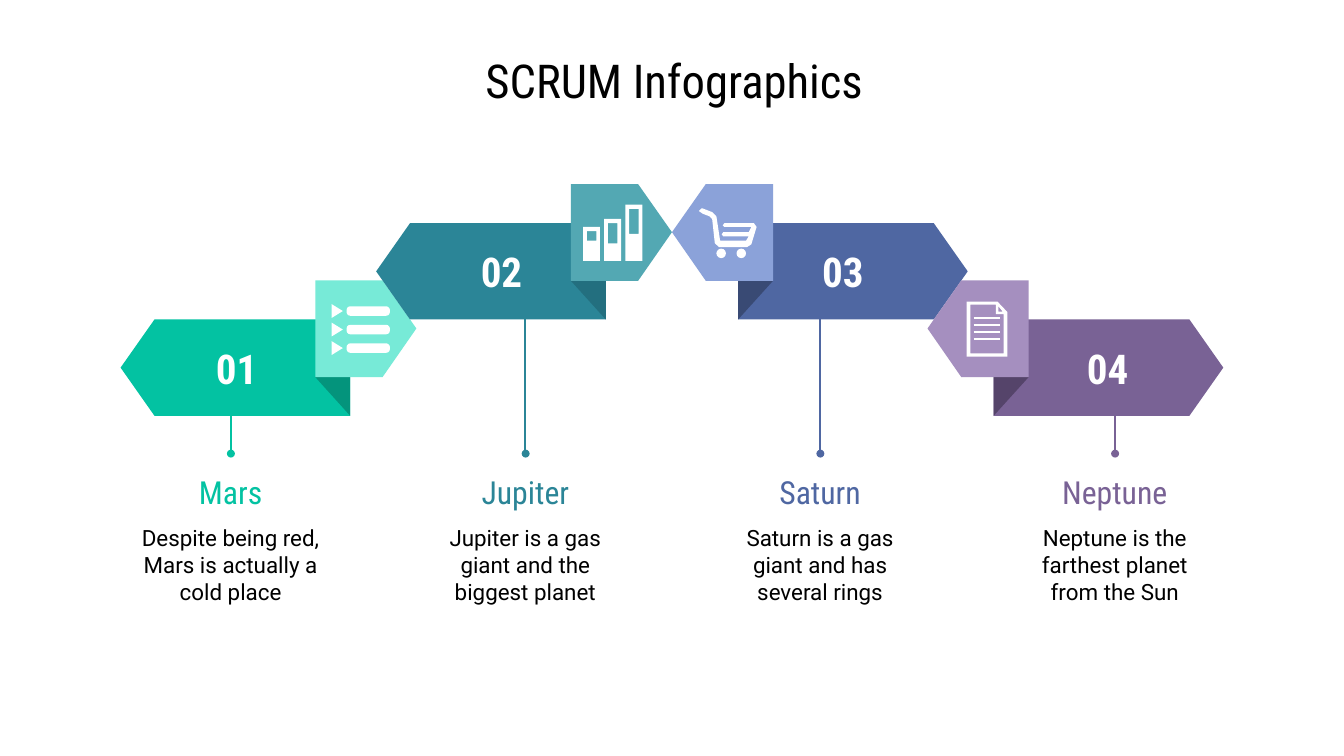
from lxml.etree import SubElement
from pptx import Presentation
from pptx.dml.color import RGBColor
from pptx.enum.shapes import MSO_CONNECTOR, MSO_SHAPE
from pptx.enum.text import MSO_ANCHOR, PP_ALIGN
from pptx.oxml.ns import qn
from pptx.util import Cm, Pt

WHITE = RGBColor(0xFF, 0xFF, 0xFF)
BLACK = RGBColor(0, 0, 0)
MINT = RGBColor(0x03, 0xC2, 0xA2)
MINT_DARK = RGBColor(0x04, 0x94, 0x7C)
MINT_PALE = RGBColor(0x77, 0xEA, 0xD7)
TEAL = RGBColor(0x2B, 0x85, 0x97)
TEAL_DARK = RGBColor(0x23, 0x6F, 0x7F)
TEAL_PALE = RGBColor(0x53, 0xA8, 0xB3)
BLUE = RGBColor(0x4F, 0x67, 0xA2)
BLUE_DARK = RGBColor(0x39, 0x4A, 0x74)
BLUE_PALE = RGBColor(0x8B, 0xA2, 0xD9)
PLUM = RGBColor(0x79, 0x62, 0x95)
PLUM_DARK = RGBColor(0x55, 0x44, 0x6A)
PLUM_PALE = RGBColor(0xA5, 0x8F, 0xBF)

TITLE = {"name": "Roboto Condensed", "size": Pt(25)}
HEAD = {"name": "Roboto Condensed", "size": Pt(17)}
BODY = {"name": "Roboto", "size": Pt(12)}
NUMBER = {"name": "Roboto Condensed", "size": Pt(22), "bold": True}
FRAME = {
    "word_wrap": True, "vertical_anchor": MSO_ANCHOR.MIDDLE,
    "margin_left": Cm(0.25), "margin_right": Cm(0.25),
    "margin_top": Cm(0.25), "margin_bottom": Cm(0.25),
}

MID = 12.7                      # mirror axis of the arch
STEP_X, STEP_Y = 4.83, 1.82     # from inner to outer banner
FIRST, PITCH = 4.36, 5.57       # centres of the text columns

# Points of an inner banner: distance from the axis, height on the slide
BANNER = [(1.25, 4.22), (4.95, 4.22), (5.59, 5.13), (4.95, 6.04), (1.25, 6.04)]
FOLD = [(1.14, 4.48), (1.25, 5.13), (1.25, 6.04), (1.91, 5.31)]
BADGE = [(0.64, 3.48), (0, 4.39), (0.64, 5.31), (1.91, 5.31), (1.91, 3.48)]

CART = [
    (13.26, 3.94), (13.21, 3.99), (13.28, 4.04), (13.41, 4.09), (13.46, 4.14),
    (13.51, 4.6), (13.59, 4.67), (14.12, 4.67), (14.2, 4.62), (14.3, 4.29),
    (14.25, 4.22), (13.69, 4.22), (13.66, 4.26), (13.69, 4.29), (14.2, 4.29),
    (14.15, 4.39), (13.67, 4.39), (13.64, 4.43), (13.67, 4.47), (14.15, 4.47),
    (14.1, 4.55), (13.61, 4.55), (13.56, 4.22), (13.54, 4.09), (13.46, 4.01),
    (13.28, 3.94),
]
PAGE = [(18.27, 5.7), (18.85, 5.7), (19.04, 5.9), (19.04, 6.74), (18.27, 6.74)]
SHEET = [(18.34, 5.76), (18.82, 5.76), (18.82, 5.94), (18.97, 5.94),
         (18.97, 6.68), (18.34, 6.68)]
CORNER = [(18.87, 5.79), (18.95, 5.89), (18.87, 5.89)]

# Title, text, side, step, number alignment, main, dark and pale colour
STAGES = [
    ("Mars", "Despite being red, Mars is actually a cold place", -1, 1,
     PP_ALIGN.CENTER, MINT, MINT_DARK, MINT_PALE),
    ("Jupiter", "Jupiter is a gas giant and the biggest planet", -1, 0,
     PP_ALIGN.RIGHT, TEAL, TEAL_DARK, TEAL_PALE),
    ("Saturn", "Saturn is a gas giant and has several rings", 1, 0,
     PP_ALIGN.LEFT, BLUE, BLUE_DARK, BLUE_PALE),
    ("Neptune", "Neptune is the farthest planet\nfrom the Sun", 1, 1,
     PP_ALIGN.CENTER, PLUM, PLUM_DARK, PLUM_PALE),
]


def paint(shape, color):
    shape.shadow.inherit = False
    shape.fill.solid()
    shape.fill.fore_color.rgb = color
    shape.line.fill.background()


def outline(shapes, color, *rings):
    """Draw one filled shape; rings after the first are holes."""
    rings = [[(Cm(x), Cm(y)) for x, y in ring] for ring in rings]
    pen = shapes.build_freeform(*rings[0][0])
    for i, ring in enumerate(rings):
        if i:
            pen.move_to(*ring[0])
        pen.add_line_segments(ring[1:], close=True)
    paint(pen.convert_to_shape(), color)


def preset(shapes, kind, box, color):
    shape = shapes.add_shape(kind, *map(Cm, box))
    paint(shape, color)
    return shape


def stroke(shapes, start, end, color):
    line = shapes.add_connector(MSO_CONNECTOR.STRAIGHT, *map(Cm, start + end))
    line.line.color.rgb = color
    line.line.width = Pt(1.1)
    SubElement(line._element.spPr, qn("a:effectLst"))


def label(shapes, text, box, style, color, align=PP_ALIGN.CENTER):
    frame = shapes.add_textbox(*map(Cm, box)).text_frame
    for key, value in FRAME.items():
        setattr(frame, key, value)
    para = frame.paragraphs[0]
    para.text = text
    para.alignment = align
    for run in para.runs:
        for key, value in style.items():
            setattr(run.font, key, value)
        run.font.color.rgb = color


def stage(shapes, i, name, text, side, step, align, main, dark, pale):
    """Draw a banner with its badge, number, stem and text column."""
    def place(points):
        return [(MID + side * (x + step * STEP_X), y + step * STEP_Y)
                for x, y in points]

    x = FIRST + i * PITCH
    stroke(shapes, (x, 6 + step * STEP_Y), (x, 8.57), main)
    preset(shapes, MSO_SHAPE.OVAL, (x - 0.07, 8.5, 0.15, 0.15), main)
    for points, color in ((BANNER, main), (FOLD, dark), (BADGE, pale)):
        outline(shapes, color, place(points))
    [(mid, top)] = place([(3.4, 4.22)])
    label(shapes, f"{i + 1:02}", (mid - 0.81, top, 1.63, 1.82),
          NUMBER, WHITE, align)
    label(shapes, name, (x - 2.03, 8.71, 4.06, 1.19), HEAD, main)
    label(shapes, text, (x - 2.03, 9.8, 4.06, 1.75), BODY, BLACK)


def ring(left, top, right, low):
    return [(left, top), (right, top), (right, low), (left, low)]


def list_icon(shapes):
    for i in range(3):
        y = 5.79 + i * 0.35
        bar = preset(shapes, MSO_SHAPE.ROUNDED_RECTANGLE,
                     (6.55, y, 0.82, 0.18), WHITE)
        bar.adjustments[0] = 0.4
        outline(shapes, WHITE,
                [(6.27, y - 0.04), (6.48, y + 0.09), (6.27, y + 0.22)])


def chart_icon(shapes):
    for i, (top, low) in enumerate([(4.29, 4.55), (4.14, 4.6), (3.87, 4.42)]):
        x = 11.02 + i * 0.4
        outline(shapes, WHITE, ring(x, top, x + 0.32, 4.93),
                ring(x + 0.07, top + 0.08, x + 0.25, low))


def cart_icon(shapes):
    outline(shapes, WHITE, CART)
    for x in (13.54, 13.92):
        preset(shapes, MSO_SHAPE.OVAL, (x, 4.7, 0.18, 0.18), WHITE)


def page_icon(shapes):
    outline(shapes, WHITE, PAGE, SHEET, CORNER)
    for i in range(4):
        y = 6.01 + i * 0.13
        stroke(shapes, (18.4, y), (18.89, y), WHITE)


def main():
    deck = Presentation()
    deck.slide_width, deck.slide_height = Cm(25.4), Cm(14.29)
    shapes = deck.slides.add_slide(deck.slide_layouts[6]).shapes
    label(shapes, "SCRUM Infographics", (1.35, 0.84, 22.78, 1.35), TITLE, BLACK)
    for i, row in enumerate(STAGES):
        stage(shapes, i, *row)
    for icon in (list_icon, chart_icon, cart_icon, page_icon):
        icon(shapes)
    deck.save("out.pptx")


if __name__ == "__main__":
    main()
